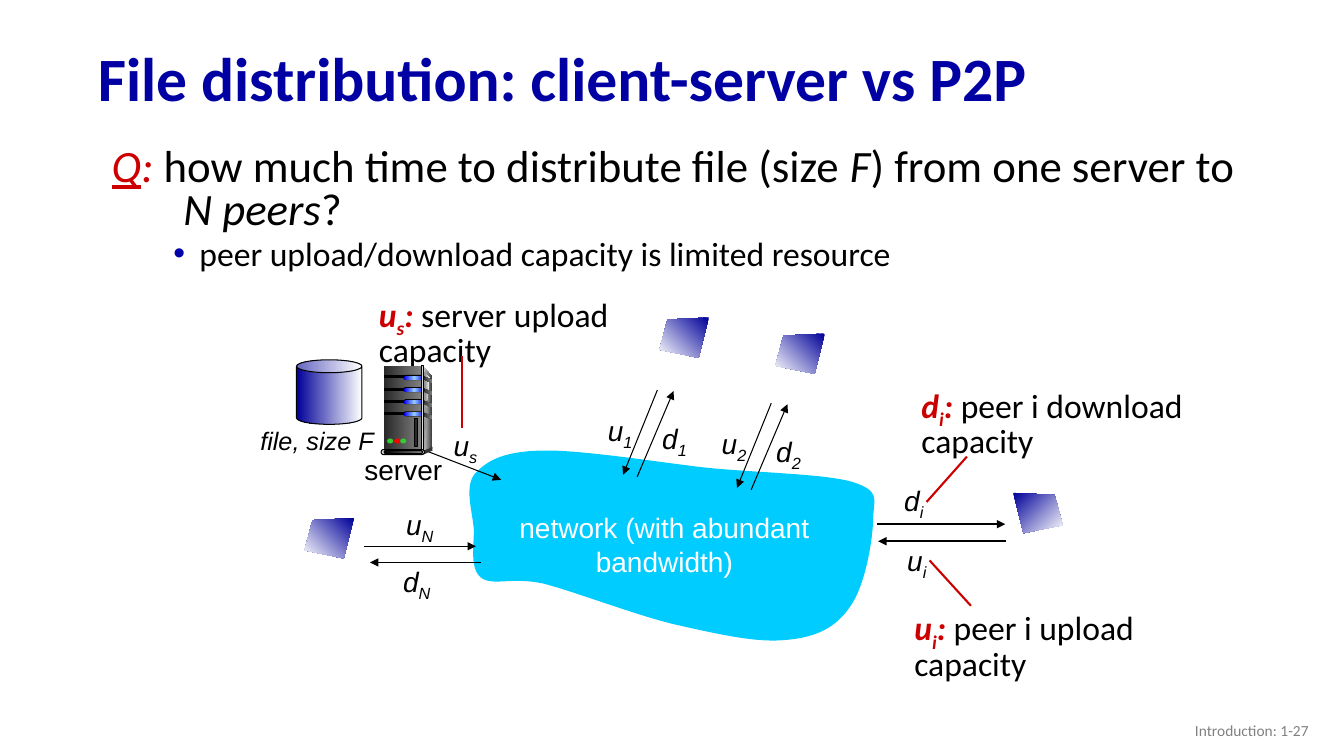
import pptx
import pptx.dml.color
import pptx.enum.shapes
import pptx.enum.text
import pptx.oxml.ns
import pptx.util
from lxml import etree

Inches = pptx.util.Inches
RGBColor = pptx.dml.color.RGBColor
Shape = pptx.enum.shapes.MSO_SHAPE
Align = pptx.enum.text.PP_ALIGN
Anchor = pptx.enum.text.MSO_ANCHOR
qn = pptx.oxml.ns.qn

BLACK = RGBColor(0x00, 0x00, 0x00)
WHITE = RGBColor(0xFF, 0xFF, 0xFF)
TITLE_BLUE = RGBColor(0x00, 0x00, 0xA3)
BULLET_BLUE = RGBColor(0x00, 0x00, 0xA8)
NAVY = RGBColor(0x00, 0x00, 0x99)
CYAN = RGBColor(0x00, 0xCC, 0xFF)
CRIMSON = RGBColor(0xCC, 0x00, 0x00)
FOOTER_GRAY = RGBColor(0x80, 0x80, 0x80)
COAL = RGBColor(0x29, 0x29, 0x29)
DARK_GRAY = RGBColor(0x33, 0x33, 0x33)
LIGHT_GRAY = RGBColor(0xDD, 0xDD, 0xDD)
PALE_GRAY = RGBColor(0xF8, 0xF8, 0xF8)
LED_GREEN = RGBColor(0x33, 0xCC, 0x33)
LED_RED = RGBColor(0xFF, 0x00, 0x00)
DRIVE_BLUE = RGBColor(0x00, 0x00, 0xFF)
DRIVE_SHINE = RGBColor(0x99, 0xCC, 0xFF)

NETWORK_START = (5.37, 4.47)
NETWORK_CURVES = [
    [(4.99, 4.48), (4.83, 4.57), (4.71, 4.70)],
    [(4.60, 4.83), (4.69, 5.09), (4.70, 5.26)],
    [(4.70, 5.43), (4.66, 5.64), (4.77, 5.73)],
    [(4.89, 5.82), (5.07, 5.72), (5.39, 5.79)],
    [(5.70, 5.87), (6.27, 6.09), (6.67, 6.19)],
    [(7.07, 6.28), (7.49, 6.38), (7.78, 6.35)],
    [(8.08, 6.33), (8.29, 6.23), (8.43, 6.02)],
    [(8.58, 5.82), (8.66, 5.35), (8.66, 5.14)],
    [(8.67, 4.94), (8.73, 4.87), (8.45, 4.78)],
    [(8.17, 4.70), (7.50, 4.69), (7.00, 4.64)],
    [(6.49, 4.58), (5.75, 4.46), (5.37, 4.47)],
]


def curve_points(start, curves, steps=16):
    points = [start]
    for first, second, end in curves:
        for step in range(1, steps + 1):
            t = step / steps
            weights = ((1 - t) ** 3, 3 * t * (1 - t) ** 2, 3 * t * t * (1 - t), t ** 3)
            corners = (start, first, second, end)
            points.append(tuple(sum(w * c[axis] for w, c in zip(weights, corners)) for axis in (0, 1)))
        start = end
    return points


def paint(shape, colors, outlined=False, angle=0):
    shape.shadow.inherit = False
    if len(colors) == 1:
        shape.fill.solid()
        shape.fill.fore_color.rgb = colors[0]
    else:
        shape.fill.gradient()
        shape.fill.gradient_angle = angle
        stops = shape._element.spPr.find(".//" + qn("a:gsLst"))
        for stop in list(stops):
            stops.remove(stop)
        for index, color in enumerate(colors):
            position = 100000 * index // (len(colors) - 1)
            stop = etree.SubElement(stops, qn("a:gs"), pos=str(position))
            etree.SubElement(stop, qn("a:srgbClr"), val=str(color))
    if outlined:
        shape.line.color.rgb = BLACK
        shape.line.width = pptx.util.Pt(0.75)
    else:
        shape.line.fill.background()


def add_preset(shapes, kind, box, *colors, outlined=False):
    shape = shapes.add_shape(kind, *map(Inches, box))
    paint(shape, colors, outlined)
    if kind == Shape.ROUNDED_RECTANGLE:
        shape.adjustments[0] = 0.5
    return shape


def add_outline(shapes, points, *colors, angle=0):
    corners = [(Inches(x), Inches(y)) for x, y in points]
    builder = shapes.build_freeform(*corners[0])
    builder.add_line_segments(corners[1:], close=True)
    paint(builder.convert_to_shape(), colors, angle=angle)


def add_line(shapes, start, end, color=BLACK, width=0.75, arrow=True):
    straight = pptx.enum.shapes.MSO_CONNECTOR.STRAIGHT
    connector = shapes.add_connector(straight, *map(Inches, (*start, *end)))
    connector.line.color.rgb = color
    connector.line.width = pptx.util.Pt(width)
    if arrow:
        etree.SubElement(connector.line._get_or_add_ln(), qn("a:tailEnd"), type="triangle")
    etree.SubElement(connector._element.spPr, qn("a:effectLst"))


def set_font(font, size, name, color, bold=False, italic=False):
    font.size = pptx.util.Pt(size)
    font.name = name
    font.color.rgb = color
    font.bold = bold
    font.italic = italic


def add_run(paragraph, text, subscript=False, **formats):
    run = paragraph.add_run()
    run.text = text
    for name, value in formats.items():
        setattr(run.font, name, value)
    if subscript:
        run._r.get_or_add_rPr().set("baseline", "-25000")
    return run


def add_text(shapes, box, text, size, color=BLACK, name="Arial", align=Align.LEFT, italic=False):
    frame = shapes.add_textbox(*map(Inches, box)).text_frame
    frame.word_wrap = True
    paragraph = frame.paragraphs[0]
    paragraph.alignment = align
    set_font(paragraph.font, size, name, color, italic=italic)
    if text:
        add_run(paragraph, text)
    return frame


def add_rate_label(shapes, left, top, letter, index):
    frame = add_text(shapes, (left, top, 0.67, 0.44), letter, 20, italic=True)
    add_run(frame.paragraphs[0], index, subscript=True)


def add_capacity_note(shapes, box, letter, index, meaning):
    paragraph = add_text(shapes, box, "", 24, name="Calibri").paragraphs[0]
    paragraph.line_spacing = 0.85
    for text, subscript in ((letter, False), (index, True), (":", False)):
        run = add_run(paragraph, text, subscript, bold=True, italic=True)
        run.font.color.rgb = CRIMSON
    add_run(paragraph, " " + meaning)


def add_peer_screen(shapes, left, top, mirrored=False):
    offsets = [(0.49, 0), (0.08, 0.02), (0, 0.32), (0.39, 0.40)]
    points = [(left + (0.49 - x if mirrored else x), top + y) for x, y in offsets]
    add_outline(shapes, points, NAVY, WHITE, angle=315 if mirrored else 225)


def add_peer_link(shapes, left, top, index):
    add_rate_label(shapes, left, top, "u", index)
    add_rate_label(shapes, left + 0.54, top + 0.08, "d", index)
    add_line(shapes, (left + 0.59, top - 0.18), (left + 0.25, top + 0.66))
    add_line(shapes, (left + 0.39, top + 0.68), (left + 0.75, top - 0.17))


def add_server(shapes):
    server = shapes.add_group_shape().shapes
    add_outline(server, [(4.20, 3.64), (4.29, 3.74), (4.28, 4.44), (4.19, 4.47)], LIGHT_GRAY, DARK_GRAY)
    add_preset(server, Shape.RECTANGLE, (3.81, 3.63, 0.37, 0.84), COAL, FOOTER_GRAY)
    add_outline(server, [(4.21, 3.69), (4.26, 3.75), (4.22, 4.10), (4.21, 4.46)], FOOTER_GRAY, PALE_GRAY)
    for row in range(4):
        top = 3.73 + 0.12 * row
        flap = [(4.19, top), (4.29, top + 0.04), (4.28, top + 0.07), (4.19, top + 0.03)]
        add_outline(server, flap, COAL, FOOTER_GRAY)
        add_preset(server, Shape.RECTANGLE, (3.81, top, 0.21, 0.02), BLACK, outlined=True)
        add_preset(server, Shape.ROUNDED_RECTANGLE, (4.00, top - 0.01, 0.21, 0.05), BLACK)
        add_preset(server, Shape.ROUNDED_RECTANGLE, (4.01, top, 0.20, 0.04),
                   DRIVE_BLUE, DRIVE_SHINE, DRIVE_BLUE)
    add_preset(server, Shape.RECTANGLE, (4.18, 3.63, 0.02, 0.84),
               DARK_GRAY, LIGHT_GRAY, DARK_GRAY, outlined=True)
    add_preset(server, Shape.OVAL, (4.27, 4.43, 0.02, 0.03), DARK_GRAY)
    add_outline(server, [(4.20, 4.47), (4.20, 4.51), (4.29, 4.47), (4.28, 4.44)], DARK_GRAY)
    add_preset(server, Shape.ROUNDED_RECTANGLE, (3.78, 4.46, 0.43, 0.05), LIGHT_GRAY, outlined=True)
    add_preset(server, Shape.ROUNDED_RECTANGLE, (3.81, 4.47, 0.38, 0.03), BLACK, FOOTER_GRAY, outlined=True)
    for left, color in ((3.84, LED_GREEN), (3.91, LED_RED), (3.97, LED_GREEN)):
        add_preset(server, Shape.OVAL, (left, 4.35, 0.06, 0.05), color)
    add_preset(server, Shape.RECTANGLE, (4.11, 4.15, 0.03, 0.28), COAL, outlined=True)


def add_title(slide):
    title = slide.shapes.title
    title.left, title.top, title.width, title.height = map(Inches, (0.87, 0.32, 11.5, 0.98))
    title.text_frame.text = "File distribution: client-server vs P2P"
    title.text_frame.vertical_anchor = Anchor.MIDDLE
    paragraph = title.text_frame.paragraphs[0]
    paragraph.alignment = Align.LEFT
    paragraph.line_spacing = 0.9
    set_font(paragraph.font, 44, "Calibri", TITLE_BLUE, bold=True)


def set_indent(paragraph, margin, first_line):
    properties = paragraph._p.get_or_add_pPr()
    properties.set("marL", str(Inches(margin)))
    properties.set("indent", str(Inches(first_line)))
    return properties


def add_question(shapes):
    frame = add_text(shapes, (0.94, 1.42, 11.5, 1.42), "", 32, name="Calibri")
    question = frame.paragraphs[0]
    set_indent(question, 0.78, -0.71)
    add_run(question, "Q", italic=True, underline=True).font.color.rgb = CRIMSON
    add_run(question, ":", italic=True).font.color.rgb = CRIMSON
    for text, italic in ((" how much time to distribute file (size ", False), ("F", True),
                         (") from one server to ", False), ("N peers", True), ("?", False)):
        add_run(question, text, italic=italic)
    limit = frame.add_paragraph()
    limit.level = 1
    properties = set_indent(limit, 0.94, -0.26)
    bullet_color = etree.SubElement(properties, qn("a:buClr"))
    etree.SubElement(bullet_color, qn("a:srgbClr"), val=str(BULLET_BLUE))
    etree.SubElement(properties, qn("a:buFont"), typeface="Arial")
    etree.SubElement(properties, qn("a:buChar"), char="•")
    limit.space_before = pptx.util.Pt(5)
    set_font(limit.font, 24, "Calibri", BLACK)
    add_run(limit, "peer upload/download capacity is limited resource")
    for paragraph in frame.paragraphs:
        paragraph.line_spacing = 0.8


def add_diagram(shapes):
    add_outline(shapes, curve_points(NETWORK_START, NETWORK_CURVES), CYAN)
    add_text(shapes, (4.94, 5.02, 3.3, 0.77), "network (with abundant bandwidth)", 20, WHITE, align=Align.CENTER)
    add_text(shapes, (3.36, 4.44, 1.28, 0.44), "server", 20, align=Align.CENTER)
    add_text(shapes, (2.38, 4.17, 1.53, 0.4), "file, size F", 18, align=Align.CENTER, italic=True)
    can = add_preset(shapes, Shape.CAN, (2.94, 3.57, 0.65, 0.64), NAVY, WHITE, outlined=True)
    can.adjustments[0] = 0.2
    add_capacity_note(shapes, (3.66, 2.89, 2.72, 0.79), "u", "s", "server upload capacity")
    add_capacity_note(shapes, (8.97, 6.00, 2.83, 0.79), "u", "i", "peer i upload capacity")
    add_capacity_note(shapes, (9.04, 3.79, 3.00, 0.79), "d", "i", "peer i download capacity")
    for left, top, letter, index in ((4.40, 4.20, "u", "s"), (3.93, 4.99, "u", "N"), (3.90, 5.55, "d", "N"),
                                     (8.87, 4.75, "d", "i"), (8.90, 5.34, "u", "i")):
        add_rate_label(shapes, left, top, letter, index)
    add_peer_link(shapes, 5.93, 4.05, "1")
    add_peer_link(shapes, 7.06, 4.18, "2")
    for start, end, width in (((4.09, 4.42), (4.97, 4.76), 0.75), ((3.61, 5.42), (4.72, 5.42), 0.75),
                              ((4.77, 5.58), (3.67, 5.58), 0.75), ((8.70, 5.20), (9.97, 5.20), 1.5),
                              ((9.98, 5.37), (8.71, 5.37), 1.5)):
        add_line(shapes, start, end, width=width)
    for start, end in (((4.58, 3.53), (4.58, 4.25)), ((9.59, 4.53), (9.19, 4.98)), ((9.63, 6.01), (9.22, 5.56))):
        add_line(shapes, start, end, CRIMSON, 1.5, arrow=False)
    add_server(shapes)
    for left, top in ((3.02, 5.14), (6.54, 3.15), (7.69, 3.31)):
        add_peer_screen(shapes, left, top)
    add_peer_screen(shapes, 10.05, 4.89, mirrored=True)


def main():
    presentation = pptx.Presentation()
    presentation.slide_width = Inches(13.33)
    presentation.slide_height = Inches(7.5)
    slide = presentation.slides.add_slide(presentation.slide_layouts[5])
    add_title(slide)
    add_question(slide.shapes)
    add_diagram(slide.shapes)
    footer = add_text(slide.shapes, (10.08, 7.05, 3, 0.4), "Introduction: 1-27", 11, FOOTER_GRAY,
                      "Calibri", Align.RIGHT)
    footer.vertical_anchor = Anchor.MIDDLE
    presentation.save("out.pptx")


if __name__ == "__main__":
    main()
